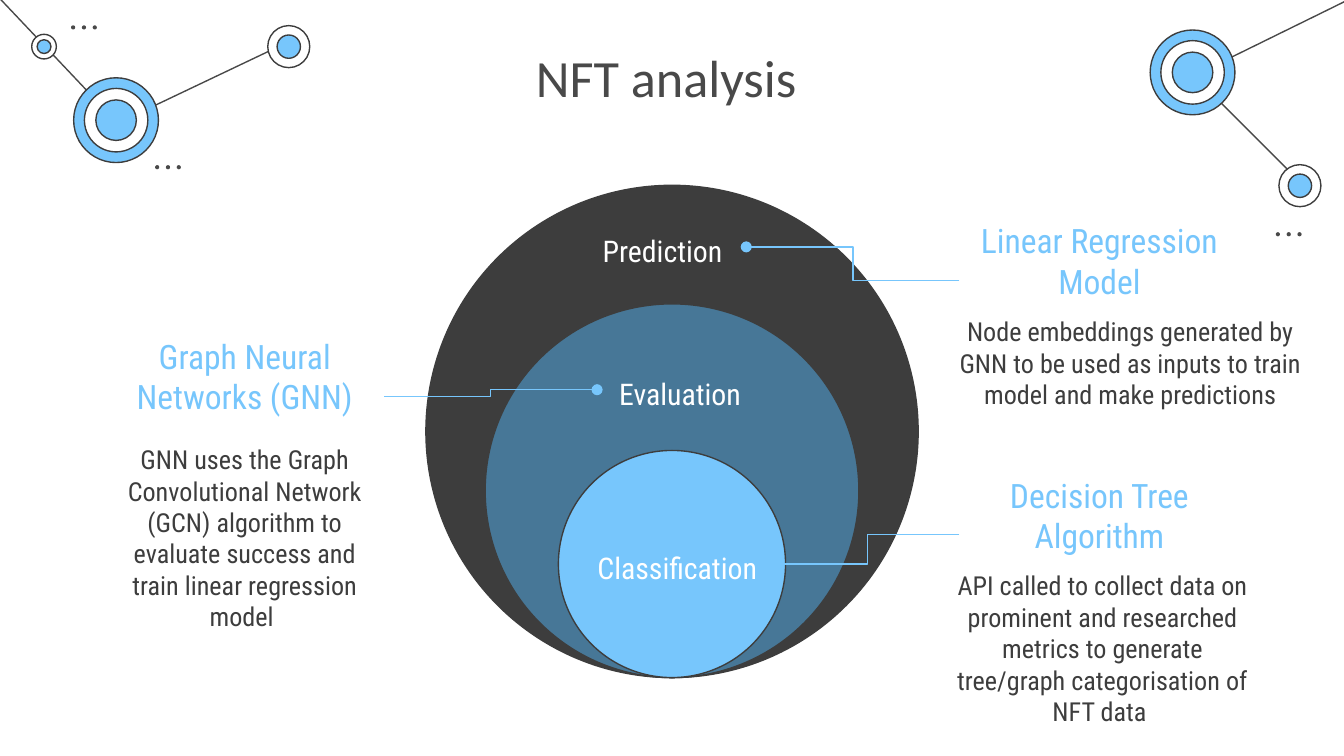
from lxml.etree import SubElement
from pptx import Presentation
from pptx.dml.color import RGBColor
from pptx.enum.shapes import MSO_CONNECTOR, MSO_SHAPE
from pptx.enum.text import MSO_ANCHOR, PP_ALIGN
from pptx.oxml.ns import qn
from pptx.util import Pt

COLORS = {
    "sky": "77C6FC",
    "steel": "477797",
    "dark": "3D3D3D",
    "grey": "494949",
    "white": "FFFFFF",
}
BODY_FONT = "Roboto Condensed"


def rgb(name):
    return RGBColor.from_string(COLORS[name])


class Deck:
    """Holds the slide in hand and the shared look of its elements."""

    line_width = 0.75

    def __init__(self, slide):
        self.shapes = slide.shapes

    def circle(self, cx, cy, d, fill, line="dark"):
        sp = self.shapes.add_shape(
            MSO_SHAPE.OVAL, Pt(cx - d / 2), Pt(cy - d / 2), Pt(d), Pt(d))
        sp.shadow.inherit = False
        sp.fill.solid()
        sp.fill.fore_color.rgb = rgb(fill)
        if line:
            sp.line.color.rgb = rgb(line)
            sp.line.width = Pt(self.line_width)
        else:
            sp.line.fill.background()

    def node(self, cx, cy, rings):
        """Draw concentric rings, given as (diameter, fill) from the outside in."""
        for d, fill in rings:
            self.circle(cx, cy, d, fill)

    def dots(self, cx, cy, gap=5.8):
        for i in (-1, 0, 1):
            self.circle(cx + i * gap, cy, 2.2, "grey", line=None)

    def connector(self, start, end, color="grey", kind=MSO_CONNECTOR.STRAIGHT, tail=None):
        cxn = self.shapes.add_connector(kind, *(Pt(v) for v in (*start, *end)))
        cxn.line.color.rgb = rgb(color)
        cxn.line.width = Pt(self.line_width)
        if tail:
            SubElement(cxn.line._get_or_add_ln(), qn("a:tailEnd"), type=tail)
        SubElement(cxn._element.spPr, qn("a:effectLst"))

    def text(self, text, x, y, w, h, *, size, color, font=BODY_FONT,
             anchor=MSO_ANCHOR.TOP, pad=7.2):
        tf = self.shapes.add_textbox(Pt(x), Pt(y), Pt(w), Pt(h)).text_frame
        tf.word_wrap = True
        tf.vertical_anchor = anchor
        tf.margin_left = tf.margin_right = Pt(7.2)
        tf.margin_top = tf.margin_bottom = Pt(pad)
        p = tf.paragraphs[0]
        p.alignment = PP_ALIGN.CENTER
        r = p.add_run()
        r.text = text
        r.font.size = Pt(size)
        r.font.name = font
        r.font.color.rgb = rgb(color)


LARGE = [(45.4, "sky"), (34, "white"), (21.7, "sky")]
MEDIUM = [(22.5, "white"), (12.5, "sky")]
SMALL = [(13.2, "white"), (7.4, "sky")]

NETWORK_LINES = [
    ((696.2, 97.2), (638.6, 39.6)),
    ((720.7, 0.7), (641.5, 39.6)),
    ((62.6, 66.2), (153.4, 23)),
    ((0, -0.7), (62.6, 65.5)),
]
NETWORK_NODES = [
    (638.9, 38.8, LARGE),
    (696.4, 99.5, MEDIUM),
    (62.2, 64.4, LARGE),
    (154.7, 25, MEDIUM),
    (23.6, 25, SMALL),
]
DOT_ROWS = [(690.4, 125.5), (45, 14.7), (90, 89.6)]

# Circles share their lowest point: diameter, fill
STAGE_CX, STAGE_BOTTOM = 360, 363
STAGES = [(263.7, "dark"), (200.2, "steel"), (121.7, "sky")]

# Label, left, top, width
STAGE_LABELS = [
    ("Classification", 310.3, 290.9, 105.1),
    ("Evaluation", 319.7, 197.3, 89.3),
    ("Prediction", 310.3, 121, 89.3),
]

# Heading, its left and top, body, its left, top and width
MODELS = [
    ("Graph Neural Networks (GNN)", 56.2, 194.4,
     "GNN uses the Graph Convolutional Network (GCN) algorithm to evaluate "
     "success and train linear regression model ", 56.2, 230.4, 149.8),
    ("Linear Regression Model", 514.1, 132.5,
     "Node embeddings generated by GNN to be used as inputs to train model "
     "and make predictions", 505.4, 162, 200.2),
    ("Decision Tree Algorithm", 514.1, 268.6,
     "API called to collect data on prominent and researched metrics to "
     "generate tree/graph categorisation of NFT data ", 505.4, 298.1, 170.6),
]
LEADERS = [
    ((206, 212.4), (319.9, 208.8)),
    ((514, 150.4), (399.8, 132.3)),
    ((514, 286.4), (415.4, 302.2)),
]


def build(deck):
    for start, end in NETWORK_LINES:
        deck.connector(start, end)
    for cx, cy, rings in NETWORK_NODES:
        deck.node(cx, cy, rings)
    for cx, cy in DOT_ROWS:
        deck.dots(cx, cy)

    deck.text("NFT analysis ", 56.9, 17.3, 606.2, 45.4,
              size=28, color="grey", font="Calibri")

    for d, fill in STAGES:
        deck.circle(STAGE_CX, STAGE_BOTTOM - d / 2, d, fill)
    for label, x, y, w in STAGE_LABELS:
        deck.text(label, x, y, w, 23, size=16, color="white",
                  anchor=MSO_ANCHOR.BOTTOM, pad=0)

    for heading, hx, hy, body, bx, by, bw in MODELS:
        deck.text(heading, hx, hy, 149.8, 36, size=18, color="sky",
                  anchor=MSO_ANCHOR.BOTTOM)
        deck.text(body, bx, by, bw, 68.4, size=14, color="dark")
    for start, end in LEADERS:
        deck.connector(start, end, "sky", MSO_CONNECTOR.ELBOW, tail="oval")


def main():
    prs = Presentation()
    prs.slide_width, prs.slide_height = Pt(720), Pt(405)
    build(Deck(prs.slides.add_slide(prs.slide_layouts[6])))
    prs.save("out.pptx")


if __name__ == "__main__":
    main()
